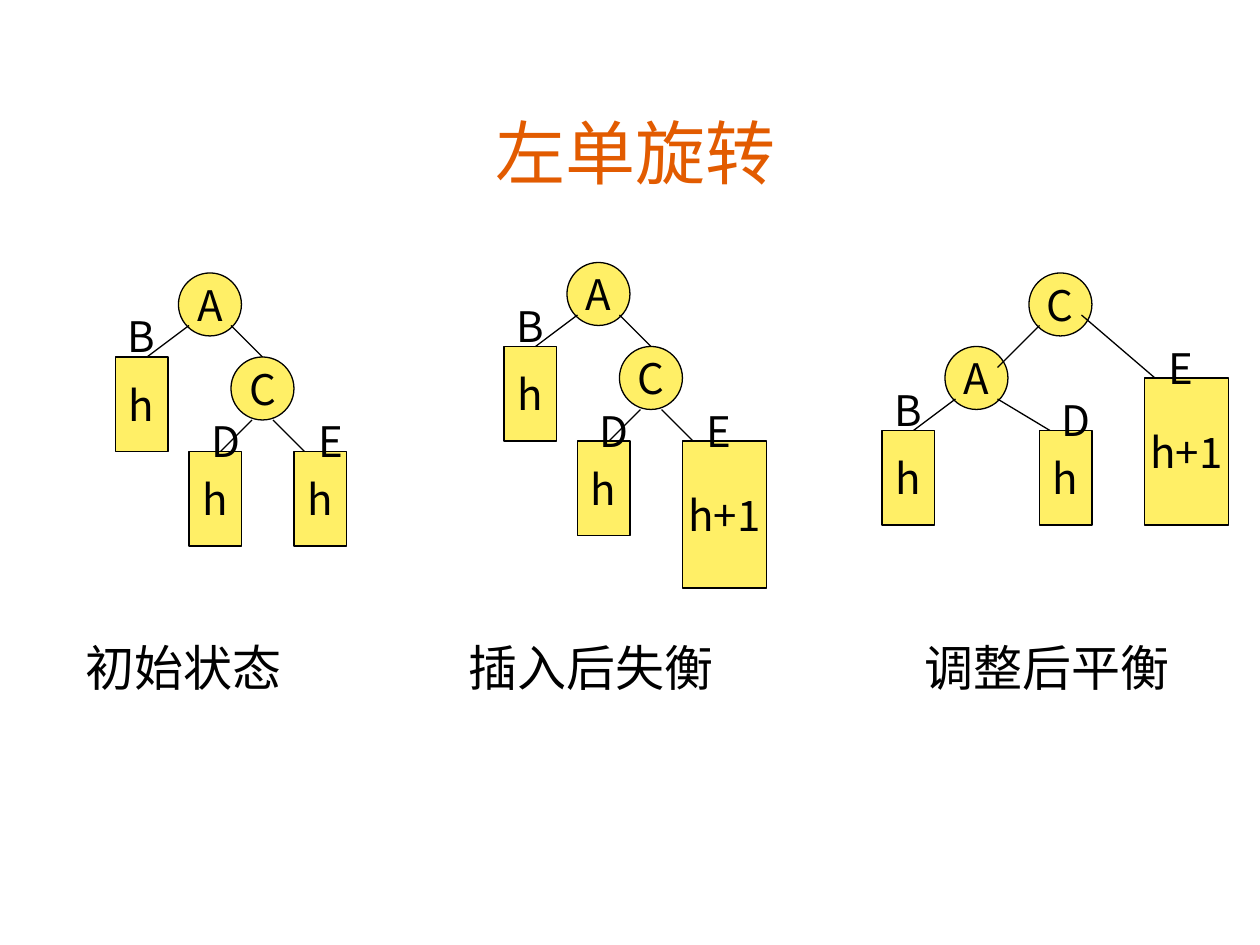
from dataclasses import dataclass

from lxml import etree
from pptx import Presentation
from pptx.dml.color import RGBColor
from pptx.enum.shapes import MSO_CONNECTOR, MSO_SHAPE
from pptx.enum.text import MSO_ANCHOR, MSO_AUTO_SIZE, PP_ALIGN
from pptx.oxml.ns import qn
from pptx.util import Cm, Pt

CIRCLE = MSO_SHAPE.FLOWCHART_CONNECTOR
RECT = MSO_SHAPE.FLOWCHART_PROCESS
STRAIGHT = MSO_CONNECTOR.STRAIGHT
MIDDLE, BOTTOM = MSO_ANCHOR.MIDDLE, MSO_ANCHOR.BOTTOM
CENTER = PP_ALIGN.CENTER
GROW, NO_FIT = MSO_AUTO_SIZE.SHAPE_TO_FIT_TEXT, MSO_AUTO_SIZE.NONE

FONT = "Noto Sans CJK SC"
TITLE_FONT = "Comic Neue"
BLACK, YELLOW, ORANGE = "000000", "FFEF66", "E25B00"
NODE_SIZE = 6
BOX_SIZES = {"h": (5, 9), "h+1": (8, 14)}


@dataclass
class Node:
    name: str
    x: float
    y: float


@dataclass
class Subtree:
    name: str
    height: str
    x: float
    y: float


@dataclass
class Tree:
    nodes: list[Node]
    subtrees: list[Subtree]
    edges: list[tuple[float, float, float, float]]
    dx: float = 0
    dy: float = 0


@dataclass
class Caption:
    text: str
    x: float
    width: float


def grid(n: float) -> Cm:
    """Twelve grid steps make one inch."""
    return Cm(n * 2.54 / 12)


def color(value: str) -> RGBColor:
    return RGBColor.from_string(value)


def write(shape, text: str, *, size: float = 24, font: str = FONT, fill: str = BLACK,
          anchor=None, wrap: bool = True, fit=NO_FIT, before: float = 0) -> None:
    tf = shape.text_frame
    tf.word_wrap = wrap
    tf.auto_size = fit
    if anchor is not None:
        tf.vertical_anchor = anchor
    p = tf.paragraphs[0]
    p.alignment = CENTER
    p.space_before = Pt(before)
    r = p.add_run()
    r.text = text
    r.font.size = Pt(size)
    r.font.name = font
    r.font.color.rgb = color(fill)
    etree.SubElement(r.font._element, qn("a:ea")).set("typeface", FONT)


def add_block(shapes, kind, text: str, x: float, y: float, w: float, h: float) -> None:
    sp = shapes.add_shape(kind, grid(x), grid(y), grid(w), grid(h))
    sp.shadow.inherit = False
    sp.fill.solid()
    sp.fill.fore_color.rgb = color(YELLOW)
    sp.line.color.rgb = color(BLACK)
    sp.line.width = Pt(0.75)
    write(sp, text, anchor=MIDDLE, wrap=False, before=15)


def add_edge(shapes, x1: float, y1: float, x2: float, y2: float) -> None:
    line = shapes.add_connector(STRAIGHT, grid(x1), grid(y1), grid(x2), grid(y2))
    line.line.color.rgb = color(BLACK)
    line.line.width = Pt(0.75)
    etree.SubElement(line._element.spPr, qn("a:effectLst"))


def add_label(shapes, text: str, x: float, y: float) -> None:
    box = shapes.add_textbox(grid(x), grid(y), grid(7), grid(6))
    write(box, text, fit=GROW, before=15)


def draw_tree(shapes, tree: Tree) -> None:
    dx, dy = tree.dx, tree.dy
    for node in tree.nodes:
        add_block(shapes, CIRCLE, node.name, node.x + dx, node.y + dy, NODE_SIZE, NODE_SIZE)
    for sub in tree.subtrees:
        add_block(shapes, RECT, sub.height, sub.x + dx, sub.y + dy, *BOX_SIZES[sub.height])
    for x1, y1, x2, y2 in tree.edges:
        add_edge(shapes, x1 + dx, y1 + dy, x2 + dx, y2 + dy)
    for sub in tree.subtrees:
        # The label of B sits one step further up and left
        shift = 1 if sub.name == "B" else 0
        add_label(shapes, sub.name, sub.x + dx - shift, sub.y + dy - 4 - shift)


def unrotated(e_height: str, dx: float = 0, dy: float = 0) -> Tree:
    return Tree(
        [Node("A", 17, 26), Node("C", 22, 34)],
        [Subtree("B", "h", 11, 34), Subtree("D", "h", 18, 43), Subtree("E", e_height, 28, 43)],
        [(18, 31, 14, 34), (22, 31, 25, 34), (24, 40, 21, 43), (26, 40, 29, 43)],
        dx, dy)


ROTATED = Tree(
    [Node("A", 90, 33), Node("C", 98, 26)],
    [Subtree("B", "h", 84, 41), Subtree("D", "h", 99, 41), Subtree("E", "h+1", 109, 36)],
    [(91, 38, 87, 41), (99, 31, 95, 35), (103, 30, 110, 36), (95, 38, 100, 41)])

CAPTIONS = [
    Caption("初始状态", 1.3, 4.8),
    Caption("插入后失衡", 8.71, 6.4),
    Caption("调整后平衡", 17.91, 6.4),
]


def main() -> None:
    prs = Presentation()
    prs.slide_width, prs.slide_height = Cm(25.4), Cm(19.05)
    s = prs.slides.add_slide(prs.slide_layouts[5])

    # Title
    title = s.shapes.title
    title.left, title.top, title.width, title.height = grid(9), grid(9), grid(103), grid(10)
    write(title, "左单旋转", size=40, font=TITLE_FONT, fill=ORANGE, anchor=BOTTOM)

    # Trees: initial, after insertion, after rotation
    draw_tree(s.shapes, unrotated("h"))
    for tree in (unrotated("h+1", 37, -1), ROTATED):
        draw_tree(s.shapes.add_group_shape().shapes, tree)

    # Captions
    for caption in CAPTIONS:
        box = s.shapes.add_textbox(Cm(caption.x), Cm(12.73), Cm(caption.width), Cm(1.45))
        write(box, caption.text, size=28, fit=GROW, before=17.5)

    prs.save("out.pptx")


if __name__ == "__main__":
    main()
